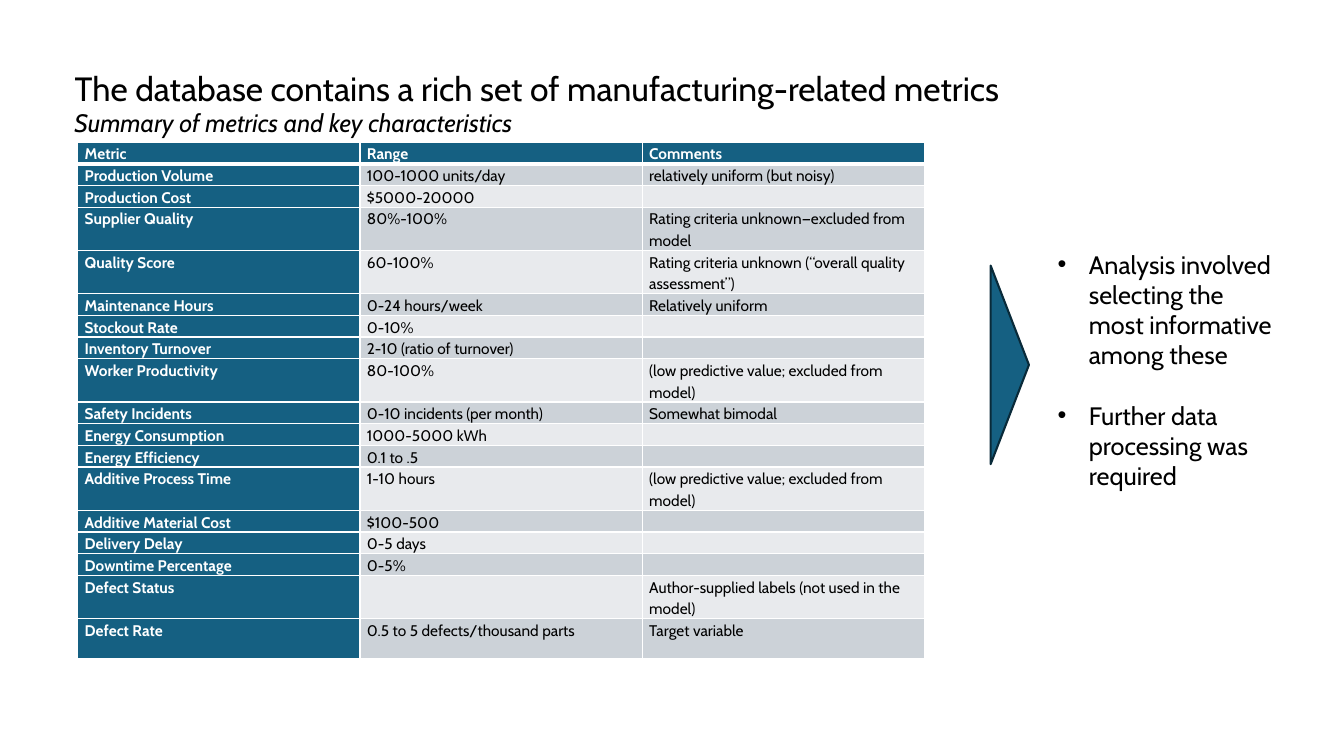
"""Build a slide that summarises manufacturing metrics in a table with takeaways."""
from dataclasses import dataclass

from lxml.etree import SubElement
from pptx import Presentation
from pptx.dml.color import RGBColor as Color
from pptx.enum.shapes import MSO_SHAPE as Shape
from pptx.enum.text import MSO_ANCHOR as Anchor, MSO_AUTO_SIZE as AutoSize, PP_ALIGN as Align
from pptx.oxml.ns import qn
from pptx.util import Inches, Pt


@dataclass(frozen=True)
class Theme:
    font: str = "Cabin"
    accent: str = "156082"
    outline: str = "092A39"
    ink: str = "000000"
    paper: str = "FFFFFF"
    bands: tuple = ("CCD2D8", "E8EAED")
    title_size: int = 24
    body_size: int = 18
    table_size: int = 11


ROW_HEIGHT = 0.2
METRICS = [
    ("Metric", "Range", "Comments", 1),
    ("Production Volume", "100-1000 units/day", "relatively uniform (but noisy)", 1),
    ("Production Cost", "$5000-20000", "", 1),
    ("Supplier Quality", "80%-100%", "Rating criteria unknown—excluded from model", 2),
    ("Quality Score", "60-100%", "Rating criteria unknown (“overall quality assessment”)", 2),
    ("Maintenance Hours", "0-24 hours/week", "Relatively uniform", 1),
    ("Stockout Rate", "0-10%", "", 1),
    ("Inventory Turnover", "2-10 (ratio of turnover)", "", 1),
    ("Worker Productivity", "80-100%", "(low predictive value; excluded from model)", 2),
    ("Safety Incidents", "0-10 incidents (per month)", "Somewhat bimodal", 1),
    ("Energy Consumption", "1000-5000 kWh", "", 1),
    ("Energy Efficiency", "0.1 to .5", "", 1),
    ("Additive Process Time", "1-10 hours", "(low predictive value; excluded from model)", 2),
    ("Additive Material Cost", "$100-500", "", 1),
    ("Delivery Delay", "0-5 days", "", 1),
    ("Downtime Percentage", "0-5%", "", 1),
    ("Defect Status", "", "Author-supplied labels (not used in the model)", 2),
    ("Defect Rate", "0.5 to 5 defects/thousand parts", "Target variable", 2),
]
TAKEAWAYS = [
    "Analysis involved selecting the most informative among these",
    "Further data processing was required",
]


class MetricsPage:
    def __init__(self, page, theme):
        self.page = page
        self.theme = theme

    def place(self, box, left, top, width, height):
        box.left, box.top = Inches(left), Inches(top)
        box.width, box.height = Inches(width), Inches(height)

    def style(self, para, size, color, bold=False, italic=False):
        for span in para.runs:
            font = span.font
            font.name, font.size = self.theme.font, Pt(size)
            font.bold, font.italic = bold, italic
            font.color.rgb = Color.from_string(color)

    def fill_text(self, box, lines, size, italic=False):
        frame = box.text_frame
        frame.text = "\n".join(lines)
        frame.word_wrap = True
        frame.auto_size = AutoSize.NONE
        frame.vertical_anchor = Anchor.TOP
        for para in frame.paragraphs:
            para.alignment = Align.LEFT
            para.space_before = Pt(0)
            self.style(para, size, self.theme.ink, italic=italic)
        return frame.paragraphs

    def title(self, text, *area):
        box = self.page.shapes.title
        self.place(box, *area)
        self.fill_text(box, [text], self.theme.title_size)

    def subtitle(self, text, *area):
        box = self.page.shapes.add_textbox(*map(Inches, area))
        self.fill_text(box, [text], self.theme.body_size, italic=True)

    def bullets(self, lines, *area):
        box = self.page.placeholders[1]
        self.place(box, *area)
        for index, para in enumerate(self.fill_text(box, lines, self.theme.body_size)):
            para.space_before = Pt(21.5 if index else 0)
            properties = para._p.get_or_add_pPr()
            properties.set("marL", str(Inches(0.31)))
            properties.set("indent", str(Inches(-0.31)))

    def pointer(self, *area):
        triangle = self.page.shapes.add_shape(Shape.ISOSCELES_TRIANGLE, *map(Inches, area))
        triangle.rotation = 90
        triangle.shadow.inherit = False
        triangle.fill.solid()
        triangle.fill.fore_color.rgb = Color.from_string(self.theme.accent)
        triangle.line.color.rgb = Color.from_string(self.theme.outline)
        triangle.line.width = Pt(1.5)

    def borders(self, cell, top, bottom):
        properties = cell._tc.get_or_add_tcPr()
        for side, width in (("L", 1), ("R", 1), ("T", top), ("B", bottom)):
            line = SubElement(properties, qn(f"a:ln{side}"), w=str(Pt(width)))
            fill = SubElement(line, qn("a:solidFill"))
            SubElement(fill, qn("a:srgbClr"), val=self.theme.paper)

    def cell(self, cell, text, row, column):
        theme = self.theme
        heading = row == 0 or column == 0
        self.borders(cell, top=3 if row == 1 else 1, bottom=3 if row == 0 else 1)
        cell.fill.solid()
        cell.fill.fore_color.rgb = Color.from_string(theme.accent if heading else theme.bands[(row - 1) % 2])
        cell.margin_left = cell.margin_right = Inches(0.07)
        cell.margin_top = cell.margin_bottom = 0
        para = cell.text_frame.paragraphs[0]
        para.text = text
        para.line_spacing = 1.15
        self.style(para, theme.table_size, theme.paper if heading else theme.ink, bold=heading)
        if not text:
            SubElement(para._p, qn("a:endParaRPr"), sz=str(theme.table_size * 100))

    def table(self, records, left, top, column_width):
        heights = [ROW_HEIGHT * lines for *_, lines in records]
        area = (left, top, column_width * 3, sum(heights))
        table = self.page.shapes.add_table(len(records), 3, *map(Inches, area)).table
        table.horz_banding = False
        for row, (*texts, _) in enumerate(records):
            table.rows[row].height = Inches(heights[row])
            for column, text in enumerate(texts):
                self.cell(table.cell(row, column), text, row, column)


def main():
    deck = Presentation()
    deck.slide_width, deck.slide_height = Inches(13.33), Inches(7.5)
    page = MetricsPage(deck.slides.add_slide(deck.slide_layouts[1]), Theme())
    page.title("The database contains a rich set of manufacturing-related metrics", 0.64, 0.62, 11.1, 0.5)
    page.table(METRICS, 0.77, 1.41, 2.8)
    page.pointer(9.03, 3.43, 1.97, 0.38)
    page.bullets(TAKEAWAYS, 10.39, 2.42, 2.34, 2.83)
    page.subtitle("Summary of metrics and key characteristics", 0.64, 1.02, 9.91, 0.4)
    deck.save("out.pptx")


if __name__ == "__main__":
    main()
